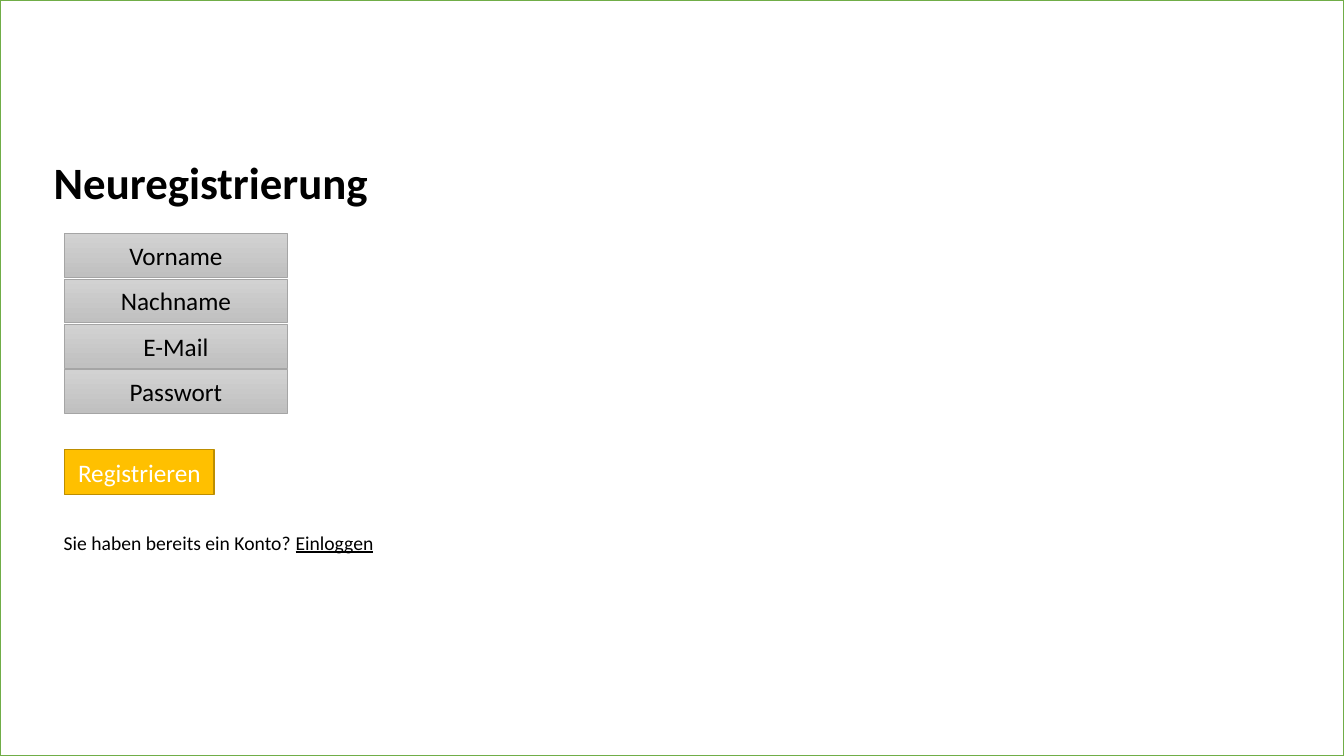
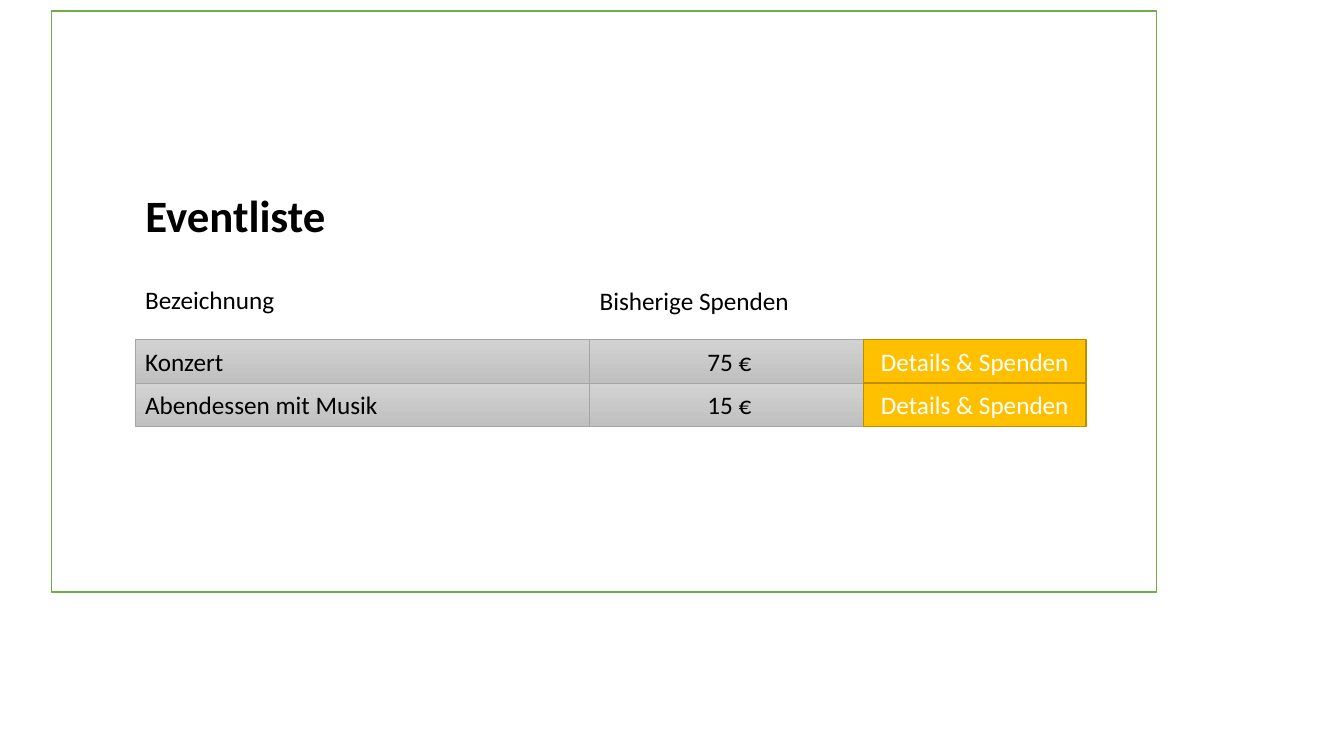
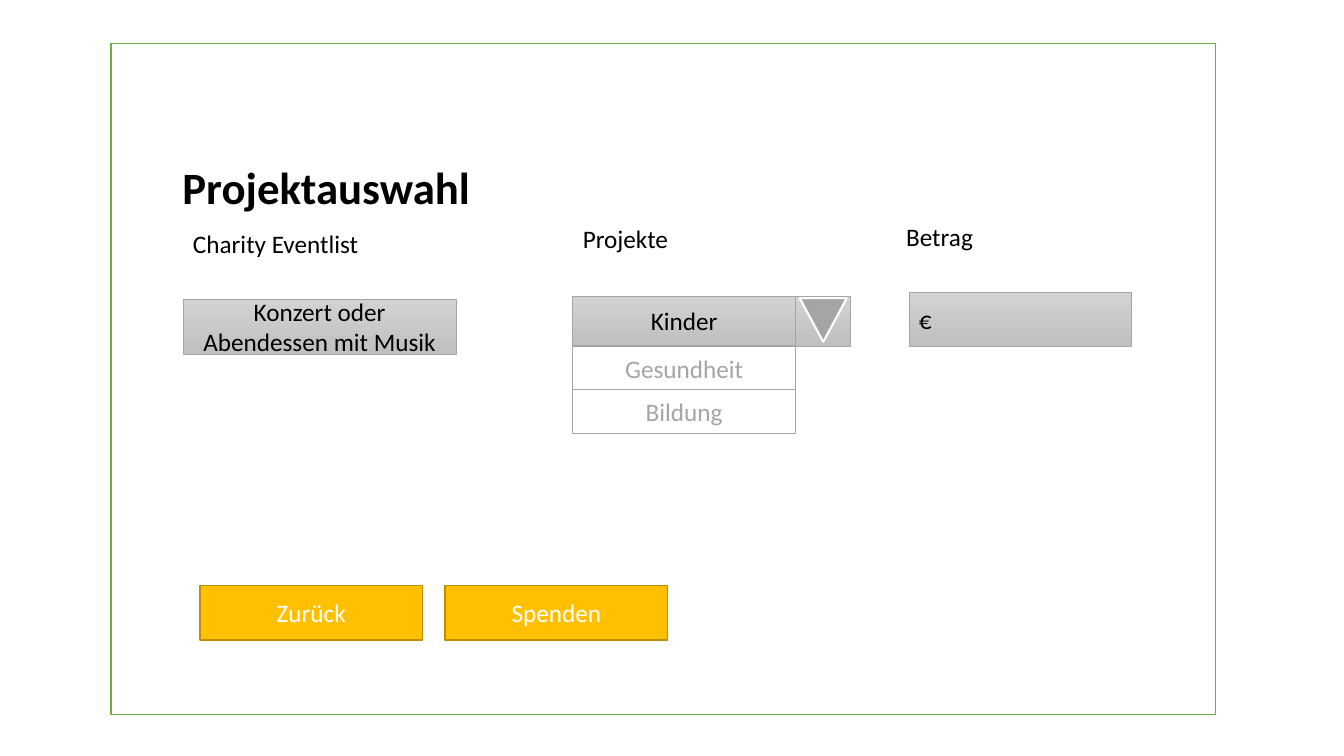
import pptx
import pptx.util
import pptx.dml.color
import pptx.enum.shapes
import pptx.enum.text

COLS, ROWS = 160, 90
FONT = "Calibri"
BLACK, WHITE, GREY = "000000", "FFFFFF", "A5A5A5"
GREEN, GOLD, RIM = "70AD47", "FFC000", "BD8E00"
FADE = ("D2D2D2", "C0C0C0")
WIDE, TALL = 26.5, 5.2

ALIGN = pptx.enum.text.PP_ALIGN
ANCHOR = pptx.enum.text.MSO_ANCHOR
KIND = pptx.enum.shapes.MSO_SHAPE

deck = pptx.Presentation()
deck.slide_width = pptx.util.Inches(13.33)
deck.slide_height = pptx.util.Inches(7.5)


def color(code):
    """Turn a hex string into a colour."""
    return pptx.dml.color.RGBColor.from_string(code)


def place(x, y, wide, tall):
    """Turn grid columns and rows into slide lengths."""
    col, row = deck.slide_width / COLS, deck.slide_height / ROWS
    return round(x * col), round(y * row), round(wide * col), round(tall * row)


def inside(box, x, y, wide, tall):
    """Shift a part from its box to the slide grid."""
    return box[0] + x, box[1] + y, wide, tall


def write(shape, *parts, size=18, ink=BLACK, bold=None, align=ALIGN.LEFT,
          anchor=ANCHOR.TOP, under=()):
    """Write parts of one paragraph; under lists the underlined ones."""
    frame = shape.text_frame
    frame.word_wrap = True
    frame.auto_size = pptx.enum.text.MSO_AUTO_SIZE.NONE
    frame.vertical_anchor = anchor
    line = frame.paragraphs[0]
    line.alignment = align
    for part in parts:
        run = line.add_run()
        run.text = part
        run.font.name = FONT
        run.font.size = pptx.util.Pt(size)
        run.font.color.rgb = color(ink)
        run.font.bold = bold
        if part in under:
            run.font.underline = True


def label(slide, area, *parts, **form):
    """Add free text."""
    write(slide.shapes.add_textbox(*place(*area)), *parts, **form)


def block(slide, area, fill=None, rim=GREY, width=0.5, kind=KIND.RECTANGLE):
    """Add a shape with no fill, a plain fill or a fade."""
    shape = slide.shapes.add_shape(kind, *place(*area))
    shape.shadow.inherit = False
    if fill is None:
        shape.fill.background()
    elif fill is FADE:
        shape.fill.gradient()
        shape.fill.gradient_angle = 270
        for stop, code in zip(shape.fill.gradient_stops, FADE):
            stop.color.rgb = color(code)
    else:
        shape.fill.solid()
        shape.fill.fore_color.rgb = color(fill)
    shape.line.color.rgb = color(rim)
    shape.line.width = pptx.util.Pt(width)
    return shape


def field(slide, area, text, align=ALIGN.CENTER):
    """Add a grey form field."""
    write(block(slide, area, FADE), text, align=align, anchor=ANCHOR.MIDDLE)


def button(slide, area, text):
    """Add a gold button."""
    write(block(slide, area, GOLD, RIM, 1), text, ink=WHITE,
          align=ALIGN.CENTER, anchor=ANCHOR.MIDDLE)


def option(slide, area, text):
    """Add an open choice of a drop-down list."""
    write(block(slide, area, width=0.75), text, ink=GREY,
          align=ALIGN.CENTER, anchor=ANCHOR.MIDDLE)


def page(box, title, x, y):
    """Start a slide with its green frame and title."""
    slide = deck.slides.add_slide(deck.slide_layouts[5])
    head = slide.shapes.title
    area = place(*inside(box, x, y, 60, 7.7))
    head.left, head.top, head.width, head.height = area
    write(head, title, size=32, bold=True)
    block(slide, box, rim=GREEN, width=1)
    return slide


def signup(box):
    """Build the form for a new account."""
    slide = page(box, "Neuregistrierung", 5.2, 17.8)
    names = ("Vorname", "Nachname", "E-Mail", "Passwort")
    for row, name in enumerate(names):
        field(slide, inside(box, 7.7, 27.8 + row * 5.4, WIDE, TALL), name)
    button(slide, inside(box, 7.7, 53.5, 17.8, 5.4), "Registrieren")
    label(slide, inside(box, 6.4, 62.6, 39.6, 4.1),
          "Sie haben bereits ein Konto? ", "Einloggen",
          size=14, under=("Einloggen",))


def events(box):
    """Build the list of events with their gifts so far."""
    slide = page(box, "Eventliste", 10, 20.5)
    name, sum_, more = 10, 64.1, 96.7
    label(slide, inside(box, name, 32, 54, 4.8), "Bezeichnung")
    label(slide, inside(box, sum_, 32.1, 54, 4.8), "Bisherige Spenden")
    rows = (("Konzert", " 75 €"), ("Abendessen mit Musik", " 15 €"))
    for row, (event, gift) in enumerate(rows):
        y = 39.1 + row * TALL
        field(slide, inside(box, name, y, sum_ - name, TALL), event, ALIGN.LEFT)
        field(slide, inside(box, sum_, y, more - sum_, TALL), gift)
        button(slide, inside(box, more, y, WIDE, TALL), "Details & Spenden")


def picker(slide, box):
    """Build the open drop-down list of projects."""
    label(slide, inside(box, 0, 0, 20, 4.8), "Projekte")
    field(slide, inside(box, 0, 9.3, WIDE, 5.8), "Kinder")
    for row, text in enumerate(("Gesundheit", "Bildung")):
        option(slide, inside(box, 0, 15.2 + row * TALL, WIDE, TALL), text)
    block(slide, inside(box, WIDE, 9.3, 6.5, 5.9), FADE)
    arrow = block(slide, inside(box, WIDE + 0.5, 9.5, 5.6, 5.2), GREY, WHITE,
                  1.5, KIND.ISOSCELES_TRIANGLE)
    arrow.rotation = 180


def choice(box):
    """Build the choice of event, project and amount."""
    slide = page(box, "Projektauswahl", 7.3, 13.2)
    label(slide, inside(box, 8.6, 21.4, WIDE, 4.8), "Charity Eventlist")
    field(slide, inside(box, 8.6, 30.4, 32.5, 6.6),
          "Konzert oder Abendessen mit Musik")
    picker(slide, inside(box, 55, 20.8, 33, 25.6))
    label(slide, inside(box, 93.5, 20.6, 20, 4.8), "Betrag")
    field(slide, inside(box, 95, 29.6, WIDE, 6.5), "€", ALIGN.LEFT)
    for col, text in enumerate(("Zurück", "Spenden")):
        button(slide, inside(box, 10.6 + col * 29.2, 64.5, WIDE, 6.5), text)


signup((0, 0, COLS, ROWS))
events((6.1, 1.3, 131.6, 69.2))
choice((13.2, 5.2, 131.5, 79.9))
deck.save("out.pptx")
